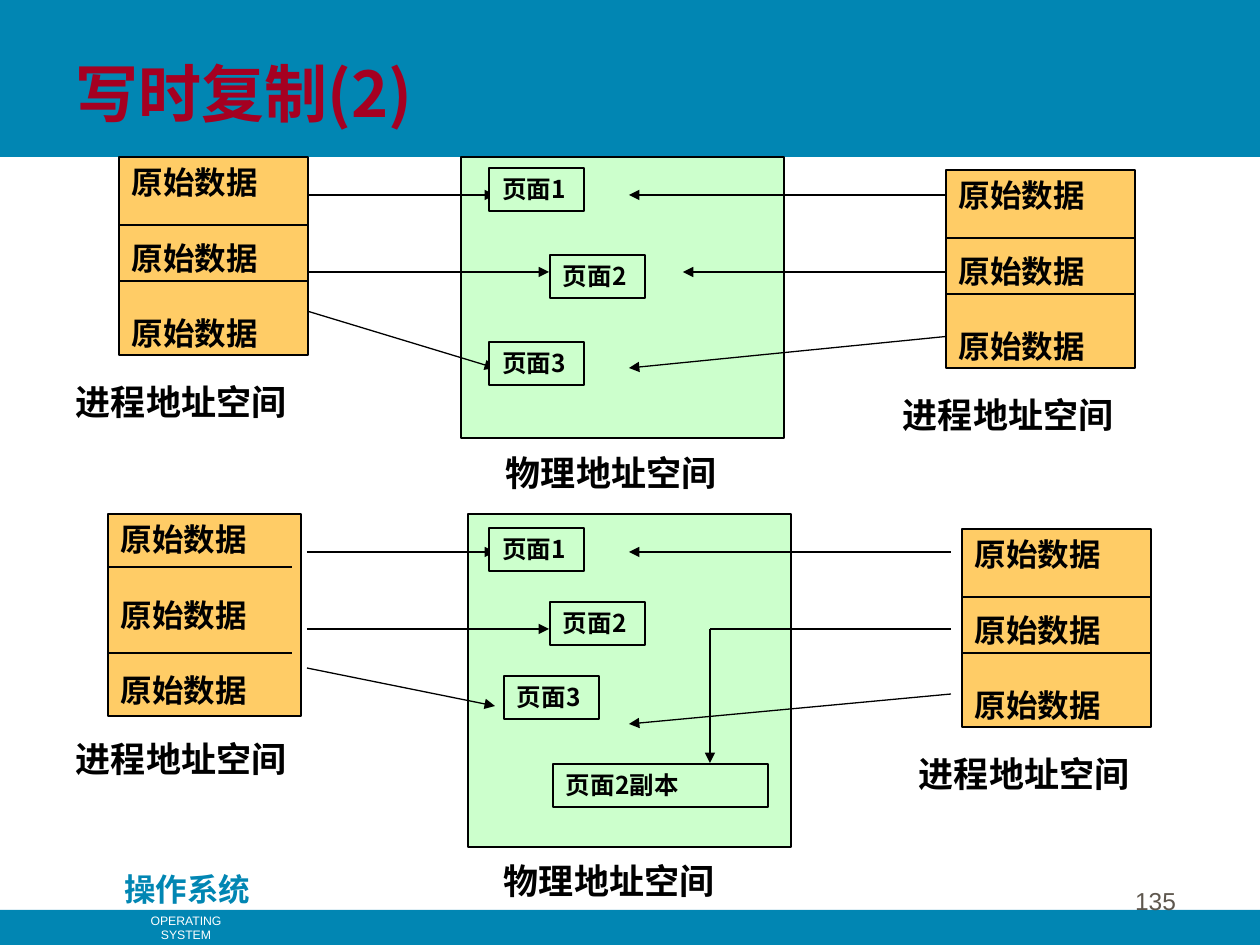
from lxml import etree
from pptx import Presentation
from pptx.dml.color import RGBColor
from pptx.enum.shapes import MSO_CONNECTOR as CONN, MSO_SHAPE as SHAPE
from pptx.enum.text import MSO_ANCHOR as ANCHOR, PP_ALIGN as ALIGN
from pptx.oxml.ns import qn
from pptx.util import Emu, Pt

SCALE = 914400 / 126
CJK, LATIN = "Noto Sans CJK SC", "Arial"
BLUE, RED, GREY = "0186B3", "A50021", "5E574E"
GREEN, ORANGE, BLACK, WHITE = "CCFFCC", "FFCC66", "000000", "FFFFFF"
INSET_X, INSET_Y = 13, 6


def px(n):
    return Emu(round(n * SCALE))


def rgb(value):
    return RGBColor.from_string(value)


def write(sp, lines, size, color=BLACK, font=CJK, align=ALIGN.LEFT,
          anchor=ANCHOR.TOP, wrap=True, inset_y=INSET_Y):
    tf = sp.text_frame
    tf.word_wrap = wrap
    tf.vertical_anchor = anchor
    tf.margin_left = tf.margin_right = px(INSET_X)
    tf.margin_top = tf.margin_bottom = px(inset_y)
    for i, line in enumerate(lines):
        p = tf.add_paragraph() if i else tf.paragraphs[0]
        p.alignment = align
        if font == CJK:
            p.line_spacing = Pt(size * 1.2)
        if i:  # one line of air between entries
            p.space_before = Pt(size * 1.2)
        r = p.add_run()
        r.text = line
        r.font.size = Pt(size)
        r.font.name = font
        r.font.bold = font == CJK
        r.font.color.rgb = rgb(color)
        ea = etree.SubElement(r._r.get_or_add_rPr(), qn("a:ea"))
        ea.set("typeface", font)


def rect(slide, x, y, w, h, fill, line=BLACK):
    sp = slide.shapes.add_shape(SHAPE.RECTANGLE, px(x), px(y), px(w), px(h))
    sp.shadow.inherit = False
    sp.fill.solid()
    sp.fill.fore_color.rgb = rgb(fill)
    if line:
        sp.line.color.rgb = rgb(line)
        sp.line.width = Pt(0.75)
    else:
        sp.line.fill.background()
    return sp


def text(slide, x, y, w, h, content, size, **style):
    sp = slide.shapes.add_textbox(px(x), px(y), px(w), px(h))
    write(sp, [content], size, **style)


def line(slide, x1, y1, x2, y2, arrow=False):
    c = slide.shapes.add_connector(CONN.STRAIGHT, px(x1), px(y1), px(x2), px(y2))
    c.line.color.rgb = rgb(BLACK)
    c.line.width = Pt(0.75)
    if arrow:
        etree.SubElement(c.line._get_or_add_ln(), qn("a:tailEnd")).set("type", "triangle")
    etree.SubElement(c._element.spPr, qn("a:effectLst"))


def process_space(slide, x, y, w, h, dividers, divider_w, label_x):
    write(rect(slide, x, y, w, h, ORANGE), ["原始数据"] * 3, 18)
    for dy in dividers:
        line(slide, x, y + dy, x + divider_w, y + dy)
    text(slide, label_x, y + 217, 291, 68, "进程地址空间", 20)


def physical_space(slide, x, y, h, label_x, label_y):
    rect(slide, x, y, 323, h, GREEN)
    text(slide, label_x, label_y, 291, 54, "物理地址空间", 20, inset_y=0)


def page(slide, x, y, content, w=95):
    write(rect(slide, x, y, w, 43, GREEN), [content], 14, wrap=w > 95)


def frame(slide):
    rect(slide, 0, 0, 1260, 157, BLUE, None)
    rect(slide, 0, 910, 1260, 35, BLUE, None)
    text(slide, 105, 864, 165, 50, "操作系统", 18, color=BLUE, align=ALIGN.CENTER)
    text(slide, 111, 907, 150, 28, "OPERATING SYSTEM", 7, color=WHITE,
         font=LATIN, align=ALIGN.CENTER, wrap=False)
    text(slide, 63, 42, 1071, 94, "写时复制(2)", 36, color=RED, anchor=ANCHOR.BOTTOM)
    text(slide, 927, 858, 262, 63, "135", 14, color=GREY, font=LATIN,
         align=ALIGN.RIGHT, anchor=ANCHOR.BOTTOM)


def main():
    prs = Presentation()
    prs.slide_width, prs.slide_height = px(1260), px(945)
    slide = prs.slides.add_slide(prs.slide_layouts[6])
    frame(slide)

    # Physical memory before and after the write
    physical_space(slide, 461, 157, 281, 493, 451)
    physical_space(slide, 468, 514, 333, 491, 859)

    # Mappings from each process to the pages
    left, right = 307, 951
    for y in (195, 552):
        line(slide, left, y, 495, y, arrow=True)
        line(slide, right, y, 629, y, arrow=True)
    for y in (272, 629):
        line(slide, left, y, 549, y, arrow=True)
    line(slide, right, 272, 683, 272, arrow=True)
    for x1, y1, x2, y2 in ((left, 311, 495, 368), (right, 336, 629, 368),
                           (left, 668, 495, 706), (right, 694, 629, 724)):
        line(slide, x1, y1, x2, y2, arrow=True)

    # Remapping of page 2 to its copy
    line(slide, 710, 629, right, 629)
    line(slide, 710, 629, 710, 763, arrow=True)

    # Process address spaces
    for x, y in ((119, 157), (946, 170), (962, 529)):
        process_space(slide, x, y, 189, 198, (68, 124), 189, x - 56)
    process_space(slide, 108, 514, 193, 202, (53, 139), 184, 63)

    # Pages
    for spots in (((489, 168), (550, 255), (489, 342)),
                  ((489, 528), (550, 602), (504, 676))):
        for number, (x, y) in enumerate(spots, 1):
            page(slide, x, y, f"页面{number}")
    page(slide, 553, 764, "页面2副本", w=215)

    prs.save("out.pptx")


if __name__ == "__main__":
    main()
